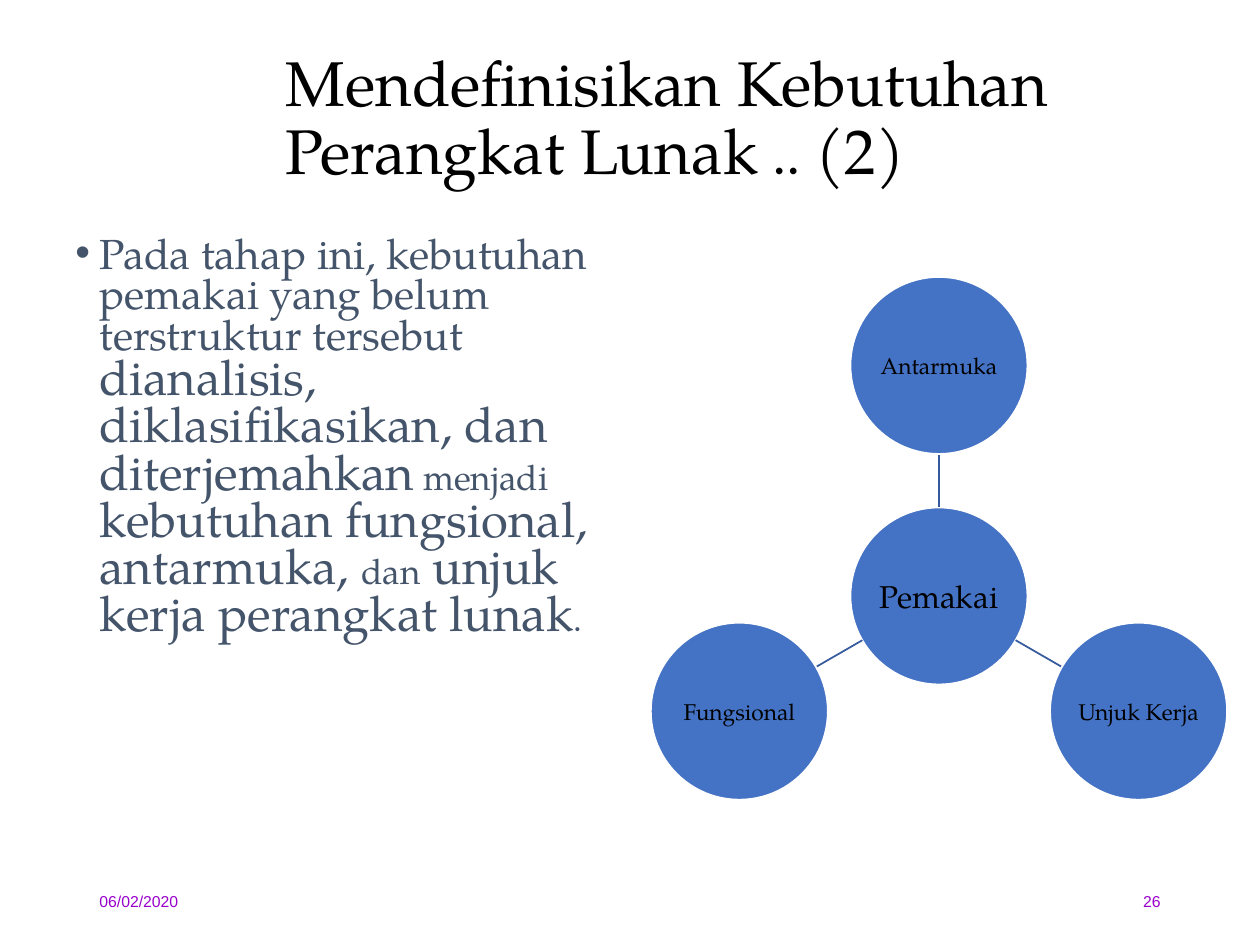
import math

import pptx
import pptx.dml.color
import pptx.enum.shapes
import pptx.enum.text
import pptx.oxml
import pptx.oxml.ns
import pptx.util

RGB = pptx.dml.color.RGBColor
ALIGN = pptx.enum.text.PP_ALIGN
ANCHOR = pptx.enum.text.MSO_ANCHOR

BLACK = RGB(0x00, 0x00, 0x00)
WHITE = RGB(0xFF, 0xFF, 0xFF)
SLATE = RGB(0x44, 0x54, 0x6A)
BLUE = RGB(0x44, 0x72, 0xC4)
LINK_BLUE = RGB(0x36, 0x5B, 0x9D)
PURPLE = RGB(0x99, 0x00, 0xCC)
SERIF, SANS = "TeX Gyre Pagella", "Arial"
SCALE = 914400 / 126


def emu(pixels):
    return pptx.util.Emu(round(pixels * SCALE))


def write(shape, spans, font=SERIF, color=BLACK, align=ALIGN.LEFT,
          anchor=ANCHOR.TOP, spacing=1.0, before=0, inset=None):
    """Fill a shape with one paragraph made of (text, size) spans."""
    frame = shape.text_frame
    frame.word_wrap = True
    frame.auto_size = pptx.enum.text.MSO_AUTO_SIZE.NONE
    frame.vertical_anchor = anchor
    if inset is not None:
        frame.margin_left = frame.margin_right = emu(inset)
        frame.margin_top = frame.margin_bottom = emu(inset)
    para = frame.paragraphs[0]
    para.alignment = align
    para.line_spacing = spacing
    para.space_before = pptx.util.Pt(before)
    for text, size in spans:
        span = para.add_run()
        span.text = text
        span.font.name = font
        span.font.size = pptx.util.Pt(size)
        span.font.color.rgb = color
    return para


class Page:
    def __init__(self, deck):
        self.slide = deck.slides.add_slide(deck.slide_layouts[5])
        self.shapes = self.slide.shapes

    def title(self, left, top, width, height, spans):
        box = self.shapes.title
        box.left, box.top = emu(left), emu(top)
        box.width, box.height = emu(width), emu(height)
        write(box, spans, anchor=ANCHOR.MIDDLE, spacing=0.9)

    def text(self, left, top, width, height, spans, **style):
        box = self.shapes.add_textbox(emu(left), emu(top), emu(width), emu(height))
        return write(box, spans, **style)

    def bullet(self, left, top, width, height, spans, indent, **style):
        para = self.text(left, top, width, height, spans, **style)
        properties = para._p.get_or_add_pPr()
        properties.set("marL", str(emu(indent)))
        properties.set("indent", str(-emu(indent)))
        for tag, name, value in (("a:buFont", "typeface", SANS),
                                 ("a:buChar", "char", "•")):
            mark = pptx.oxml.parse_xml(
                f'<{tag} {pptx.oxml.ns.nsdecls("a")} {name}="{value}"/>')
            properties.append(mark)

    def circle(self, x, y, radius, label, size):
        shape = self.shapes.add_shape(
            pptx.enum.shapes.MSO_SHAPE.OVAL, emu(x - radius), emu(y - radius),
            emu(2 * radius), emu(2 * radius))
        shape.shadow.inherit = False
        shape.fill.solid()
        shape.fill.fore_color.rgb = BLUE
        shape.line.color.rgb = WHITE
        shape.line.width = pptx.util.Pt(1)
        write(shape, [(label, size)], align=ALIGN.CENTER,
              anchor=ANCHOR.MIDDLE, inset=1)

    def link(self, x1, y1, x2, y2):
        line = self.shapes.add_connector(
            pptx.enum.shapes.MSO_CONNECTOR.STRAIGHT,
            emu(x1), emu(y1), emu(x2), emu(y2))
        line.line.color.rgb = LINK_BLUE
        line.line.width = pptx.util.Pt(1)
        line._element.spPr.append(pptx.oxml.parse_xml(
            f'<a:effectLst {pptx.oxml.ns.nsdecls("a")}/>'))


deck = pptx.Presentation()
deck.slide_width, deck.slide_height = emu(1260), emu(945)
page = Page(deck)

# Title
page.title(273, 42, 924, 157, [
    ("Mendefinisikan Kebutuhan Perangkat Lunak", 36), (" .. ", 33), ("(2)", 36)])

# Body
page.bullet(63, 231, 557, 624, [
    ("Pada tahap ini, kebutuhan pemakai yang belum terstruktur tersebut", 24),
    (" ", 20),
    ("dianalisis, diklasifikasikan, dan diterjemahkan", 28),
    (" menjadi ", 20),
    ("kebutuhan fungsional, antarmuka, ", 28),
    ("dan", 20),
    (" unjuk kerja perangkat lunak", 28),
    (". ", 20),
], indent=24, color=SLATE, spacing=0.8, before=7.5)

# Radial diagram: a hub and three circles, 120 degrees apart
HUB_X, HUB_Y, RADIUS, ORBIT = 939, 596, 88.5, 230.5


def around(distance, angle):
    turn = math.radians(angle)
    return HUB_X + distance * math.cos(turn), HUB_Y + distance * math.sin(turn)


page.circle(HUB_X, HUB_Y, RADIUS, "Pemakai", 18)
for number, label in enumerate(["Antarmuka", "Unjuk Kerja", "Fungsional"]):
    angle = -90 + 120 * number
    page.link(*around(RADIUS, angle), *around(ORBIT - RADIUS, angle))
    page.circle(*around(ORBIT, angle), RADIUS, label, 13)

# Footer
for left, label, align in ((87, "06/02/2020", ALIGN.LEFT), (890, "26", ALIGN.RIGHT)):
    page.text(left, 876, 283, 50, [(label, 9)], font=SANS, color=PURPLE,
              align=align, anchor=ANCHOR.MIDDLE)

deck.save("out.pptx")
